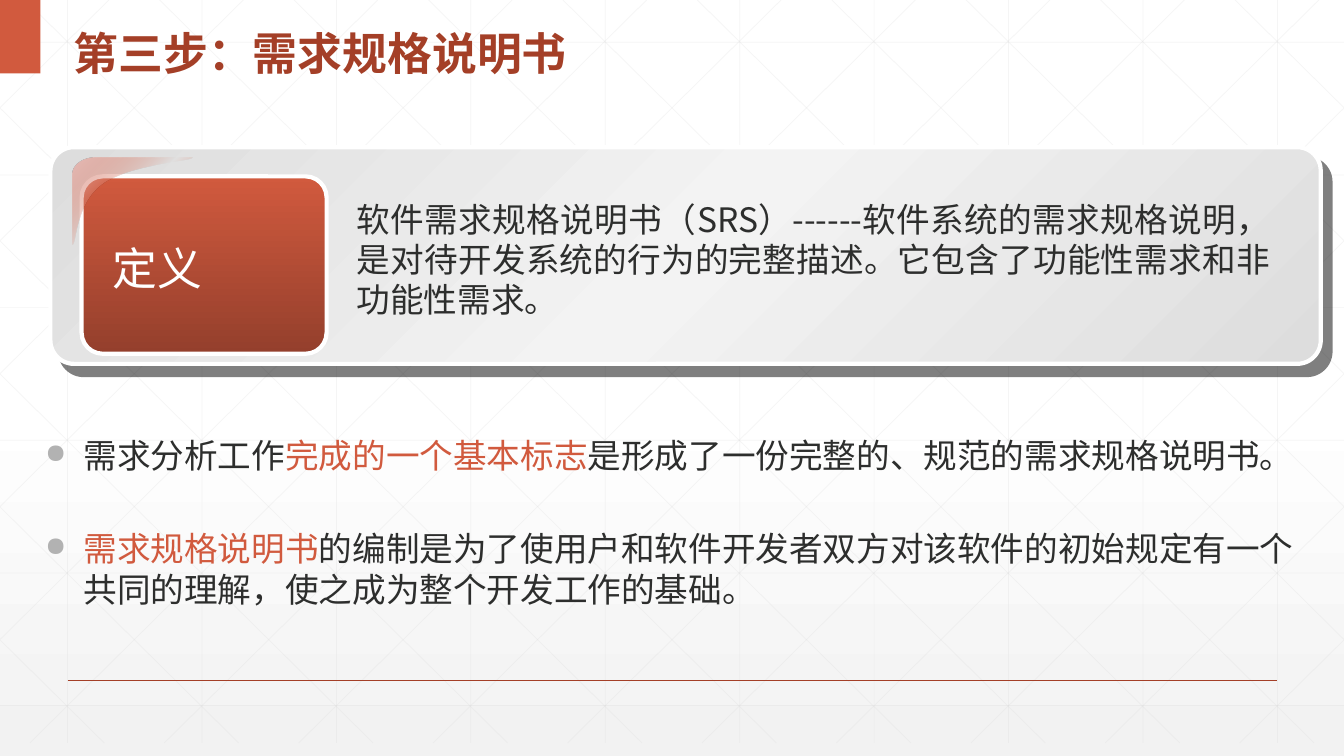
from dataclasses import dataclass

from lxml import etree
from pptx import Presentation
from pptx.dml.color import RGBColor
from pptx.enum.shapes import MSO_CONNECTOR, MSO_SHAPE
from pptx.enum.text import MSO_ANCHOR, PP_ALIGN
from pptx.oxml.ns import qn
from pptx.util import Inches, Pt

STRAIGHT = MSO_CONNECTOR.STRAIGHT
RECT, ROUND_RECT = MSO_SHAPE.RECTANGLE, MSO_SHAPE.ROUNDED_RECTANGLE
TOP = MSO_ANCHOR.TOP
LEFT, JUSTIFY = PP_ALIGN.LEFT, PP_ALIGN.JUSTIFY


@dataclass(frozen=True)
class Theme:
    font: str = "Noto Sans CJK SC"
    label_font: str = "Arial"
    ink: str = "2D2E2D"
    accent: str = "D15A3E"
    dark_accent: str = "A43F27"
    white: str = "FFFFFF"
    grid: str = "D9D9D9"
    bullet: str = "B2B2B2"
    title_size: int = 32
    label_size: int = 32
    body_size: int = 24


T = Theme()

# Text is a list of paragraphs, each a list of (wording, colour) runs.
TITLE = [[("第三步：需求规格说明书", T.dark_accent)]]
LABEL = [[("定义", T.white)]]
DEFINITION = [[("软件需求规格说明书（SRS）------软件系统的需求规格说明，是对待开发系统的行为的完整描述。"
                "它包含了功能性需求和非功能性需求。", T.ink)]]
BULLETS = [
    [("需求分析工作", T.ink), ("完成的一个基本标志", T.accent),
     ("是形成了一份完整的、规范的需求规格说明书。", T.ink)],
    [("需求规格说明书", T.accent),
     ("的编制是为了使用户和软件开发者双方对该软件的初始规定有一个共同的理解，使之成为整个开发工作的基础。", T.ink)],
]

# Gradient stops: position %, colour, opacity %.
PAGE_STOPS = [(0, "FFFFFF", 100), (53, "FFFFFF", 100), (100, "F2F2F2", 65)]
PANEL_STOPS = [(0, "DDDDDD", 100), (50, "F3F3F3", 100), (100, "DDDDDD", 100)]
LABEL_STOPS = [(0, T.accent, 100), (100, "943F2C", 100)]
GLOSS_STOPS = [(0, "E7BDB9", 100), (50, T.accent, 0), (100, "E7BDB9", 100)]

# Each curve: start, two control points, end.
GLOSS_CURVES = [
    [(0.95, 1.56), (0.82, 1.56), (0.72, 1.64), (0.72, 1.73)],
    [(0.72, 2.43), (0.77, 2.44), (0.74, 2.01), (1.04, 1.81)],
    [(1.04, 1.81), (1.35, 1.62), (1.93, 1.6), (1.91, 1.56)],
]

PAGE_W, PAGE_H = 13.33, 7.5
GRID_H, GRID_STEP, ROW_STEP, GRID_RUN = 7.37, 4 / 3, 1.316, 7.45


def add_node(parent, tag, **attrs):
    return etree.SubElement(parent, qn(tag), {k: str(v) for k, v in attrs.items()})


def set_gradient(fill, owner, stops, angle):
    fill.gradient()
    grad = owner.find(".//" + qn("a:gradFill"))
    stop_list = grad.find(qn("a:gsLst"))
    for old in list(stop_list):
        stop_list.remove(old)
    for pos, color, opacity in stops:
        gs = add_node(stop_list, "a:gs", pos=pos * 1000)
        clr = add_node(gs, "a:srgbClr", val=color)
        add_node(clr, "a:alpha", val=opacity * 1000)
    grad.find(qn("a:lin")).set("ang", str(angle * 60000))


def add_shadow(parent, distance, angle, opacity):
    """Add a hard black shadow to shape or run properties."""
    effects = parent.find(qn("a:effectLst"))
    if effects is None:
        effects = add_node(parent, "a:effectLst")
    shadow = add_node(effects, "a:outerShdw", blurRad=0, dist=Pt(distance),
                      dir=angle * 60000, algn="tl", rotWithShape=0)
    clr = add_node(shadow, "a:srgbClr", val="000000")
    add_node(clr, "a:alpha", val=opacity * 1000)


def add_line(s, x1, y1, x2, y2, color, width, opacity=100):
    line = s.shapes.add_connector(STRAIGHT, *map(Inches, (x1, y1, x2, y2)))
    line.line.color.rgb = RGBColor.from_string(color)
    line.line.width = Pt(width)
    props = line._element.spPr
    add_node(props.find(".//" + qn("a:srgbClr")), "a:alpha", val=opacity * 1000)
    add_node(props, "a:effectLst")


def add_grid(s):
    lines = []
    for i in range(10):
        x = 0.67 + i * GRID_STEP
        lines.append((x, 0, x, GRID_H))
    for i in range(6):
        y = 0.42 + i * ROW_STEP
        lines.append((0, y, PAGE_W, y))
    slope = GRID_H / GRID_RUN
    for i in range(-5, 10):
        x = 0.25 + i * GRID_STEP
        x1, x2 = max(x, 0), min(x + GRID_RUN, PAGE_W)
        y1, y2 = (x1 - x) * slope, (x2 - x) * slope
        lines.append((x1, y1, x2, y2))
        lines.append((PAGE_W - x1, y1, PAGE_W - x2, y2))
    for ends in lines:
        add_line(s, *ends, T.grid, 0.5, 25)


def add_panel(s, box, adjust, stops, angle):
    panel = s.shapes.add_shape(ROUND_RECT, *map(Inches, box))
    panel.adjustments[0] = adjust
    panel.shadow.inherit = False
    set_gradient(panel.fill, panel._element, stops, angle)
    panel.line.color.rgb = RGBColor.from_string(T.white)
    panel.line.width = Pt(3)
    return panel


def add_gloss(s):
    points = []
    for a, b, c, d in GLOSS_CURVES:
        for t in (i / 12 for i in range(13)):
            u = 1 - t
            points.append(tuple(
                Inches(u**3 * a[k] + 3 * u * u * t * b[k] + 3 * u * t * t * c[k] + t**3 * d[k])
                for k in (0, 1)))
    builder = s.shapes.build_freeform(*points[0])
    builder.add_line_segments(points[1:], close=True)
    gloss = builder.convert_to_shape()
    gloss.shadow.inherit = False
    set_gradient(gloss.fill, gloss._element, GLOSS_STOPS, 45)
    gloss.line.fill.background()


def write_text(sp, box, paragraphs, size, font=T.font, align=LEFT, bold=False,
               spacing=1.2, gap=0, bullets=False):
    sp.left, sp.top, sp.width, sp.height = map(Inches, box)
    tf = sp.text_frame
    tf.word_wrap = True
    tf.vertical_anchor = TOP
    tf.margin_top, tf.margin_bottom = Inches(0.09), 0
    for i, runs in enumerate(paragraphs):
        p = tf.add_paragraph() if i else tf.paragraphs[0]
        if bullets:
            props = p._p.get_or_add_pPr()
            props.set("marL", str(Inches(0.38)))
            props.set("indent", str(-Inches(0.38)))
            add_node(add_node(props, "a:buClr"), "a:srgbClr", val=T.bullet)
            add_node(props, "a:buSzPct", val=80000)
            add_node(props, "a:buChar", char="●")
        p.alignment = align
        p.line_spacing = Pt(size * spacing)
        p.space_before = Pt(gap if i else 0)
        p.font.size, p.font.bold, p.font.name = Pt(size), bold, font
        add_node(p._p.pPr.find(qn("a:defRPr")), "a:ea", typeface=T.font)
        for wording, color in runs:
            r = p.add_run()
            r.text = wording
            r.font.color.rgb = RGBColor.from_string(color)


def add_text(s, box, paragraphs, size, **style):
    sp = s.shapes.add_textbox(*map(Inches, box))
    write_text(sp, box, paragraphs, size, **style)
    return sp


def main():
    prs = Presentation()
    prs.slide_width, prs.slide_height = Inches(PAGE_W), Inches(PAGE_H)
    s = prs.slides.add_slide(prs.slide_layouts[5])
    set_gradient(s.background.fill, s._element, PAGE_STOPS, 90)

    add_grid(s)
    add_line(s, 0.67, 6.75, 12.67, 6.75, T.dark_accent, 1)
    corner = s.shapes.add_shape(RECT, 0, 0, Inches(0.4), Inches(0.73))
    corner.shadow.inherit = False
    corner.fill.solid()
    corner.fill.fore_color.rgb = RGBColor.from_string(T.accent)
    corner.line.fill.background()

    title = s.shapes.title
    write_text(title, (0.63, 0, 5.69, 0.73), TITLE, T.title_size, bold=True, spacing=1.56)
    s.shapes._spTree.append(title._element)  # bring the title in front of the grid

    add_text(s, (0.35, 4.22, 12.61, 3.03), BULLETS, T.body_size, gap=38.3, bullets=True)
    panel = add_panel(s, (0.5, 1.46, 12.6, 2.15), 0.109, PANEL_STOPS, 45)
    add_shadow(panel._element.spPr, 10.6, 49, 50)
    add_panel(s, (0.81, 1.75, 2.43, 1.76), 0.119, LABEL_STOPS, 90)
    add_gloss(s)
    label = add_text(s, (1.02, 2.3, 2.11, 0.64), LABEL, T.label_size, font=T.label_font)
    add_shadow(label.text_frame.paragraphs[0].runs[0].font._element, 2, 45, 100)
    add_text(s, (3.44, 1.88, 9.26, 1.31), DEFINITION, T.body_size, align=JUSTIFY)
    prs.save("out.pptx")


if __name__ == "__main__":
    main()
